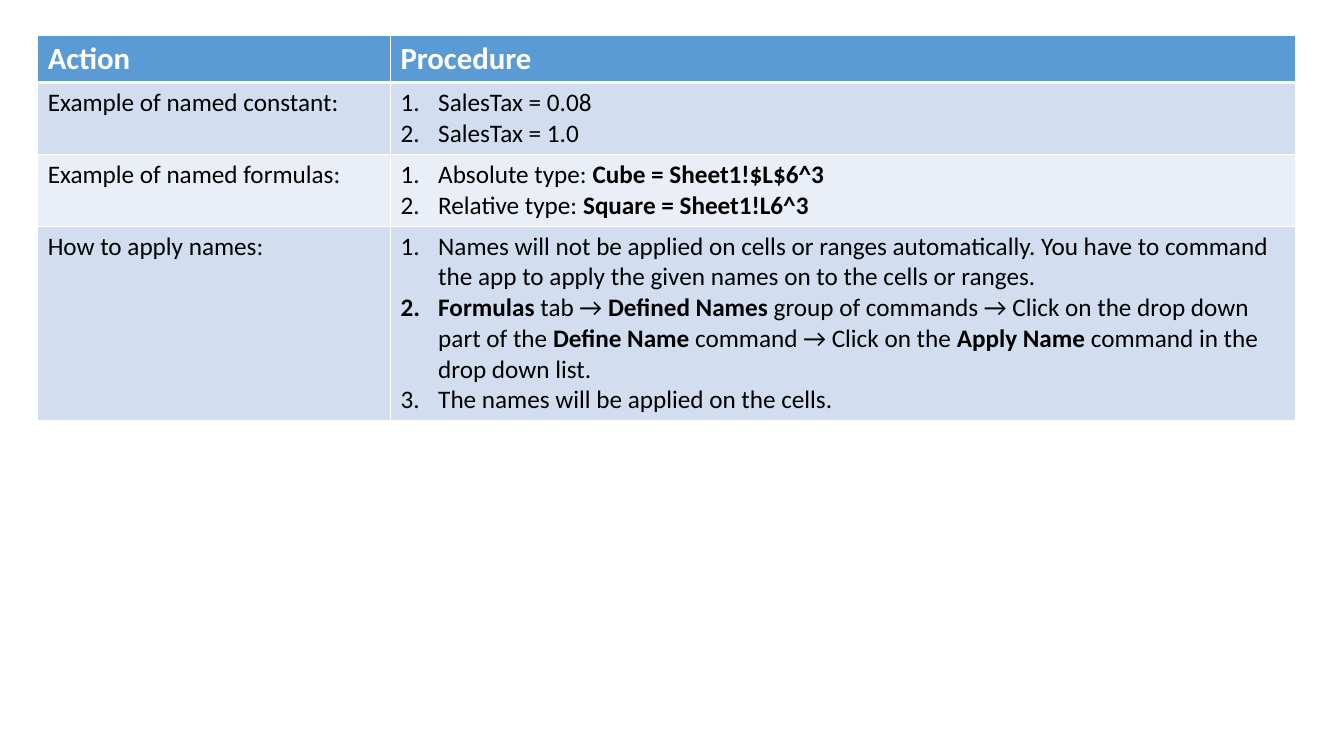
from dataclasses import dataclass

from lxml.etree import SubElement
from pptx import Presentation
from pptx.dml.color import RGBColor
from pptx.oxml.ns import qn
from pptx.table import _Cell as Cell
from pptx.util import Cm, Pt

WHITE = RGBColor(0xFF, 0xFF, 0xFF)
BLACK = RGBColor(0x00, 0x00, 0x00)
HEADER_BLUE = RGBColor(0x5B, 0x9B, 0xD5)
BAND_DARK = RGBColor(0xD2, 0xDE, 0xEF)
BAND_LIGHT = RGBColor(0xEA, 0xEF, 0xF7)

FONT = "Calibri"
NUMBER_INDENT = Cm(0.95)
COLUMN_WIDTHS = (Cm(8.89), Cm(22.81))


@dataclass(frozen=True)
class Span:
    text: str
    bold: bool = False


@dataclass(frozen=True)
class Look:
    size: int
    color: RGBColor
    fill: RGBColor
    bottom_line: int = 1


@dataclass(frozen=True)
class Row:
    action: Span
    procedure: list[list[Span]]
    height: Cm
    look: Look
    numbered: bool = True


HEADER = Look(22, WHITE, HEADER_BLUE, bottom_line=3)
DARK = Look(18, BLACK, BAND_DARK)
LIGHT = Look(18, BLACK, BAND_LIGHT)

ROWS = [
    Row(Span("Action", True), [[Span("Procedure", True)]], Cm(1.17), HEADER, numbered=False),
    Row(
        Span("Example of named constant:"),
        [[Span("SalesTax = 0.08")], [Span("SalesTax = 1.0")]],
        Cm(1.81),
        DARK,
    ),
    Row(
        Span("Example of named formulas:"),
        [
            [Span("Absolute type: "), Span("Cube = Sheet1!$L$6^3", True)],
            [Span("Relative type: "), Span("Square = Sheet1!L6^3", True)],
        ],
        Cm(1.81),
        LIGHT,
    ),
    Row(
        Span("How to apply names:"),
        [
            [Span("Names will not be applied on cells or ranges automatically. You have to command "
                  "the app to apply the given names on to the cells or ranges.")],
            [
                Span("Formulas", True),
                Span(" tab → "),
                Span("Defined Names", True),
                Span(" group of commands → Click on the drop down part of the "),
                Span("Define Name", True),
                Span(" command → Click on the "),
                Span("Apply Name", True),
                Span(" command in the drop down list."),
            ],
            [Span("The names will be applied on the cells.")],
        ],
        Cm(4.88),
        DARK,
    ),
]


def add_borders(cell: Cell, bottom_line: int) -> None:
    properties = cell._tc.get_or_add_tcPr()
    for side, width in (("L", 1), ("R", 1), ("T", 1), ("B", bottom_line)):
        line = SubElement(properties, qn(f"a:ln{side}"), w=str(Pt(width)))
        fill = SubElement(line, qn("a:solidFill"))
        SubElement(fill, qn("a:srgbClr"), val=str(WHITE))


def fill_cell(cell: Cell, lines: list[list[Span]], look: Look, numbered: bool) -> None:
    add_borders(cell, look.bottom_line)
    cell.fill.solid()
    cell.fill.fore_color.rgb = look.fill
    frame = cell.text_frame
    for index, spans in enumerate(lines):
        para = frame.add_paragraph() if index else frame.paragraphs[0]
        if numbered:
            properties = para._p.get_or_add_pPr()
            properties.set("marL", str(NUMBER_INDENT))
            properties.set("indent", str(-NUMBER_INDENT))
            SubElement(properties, qn("a:buAutoNum"), type="arabicPeriod")
        for span in spans:
            run = para.add_run()
            run.text = span.text
            run.font.name = FONT
            run.font.size = Pt(look.size)
            run.font.bold = span.bold
            run.font.color.rgb = look.color


def main() -> None:
    deck = Presentation()
    deck.slide_width, deck.slide_height = Cm(33.87), Cm(19.05)
    page = deck.slides.add_slide(deck.slide_layouts[6])
    table = page.shapes.add_table(
        len(ROWS), len(COLUMN_WIDTHS), Cm(0.95), Cm(0.88),
        sum(COLUMN_WIDTHS), sum(row.height for row in ROWS),
    ).table
    for column, width in zip(table.columns, COLUMN_WIDTHS):
        column.width = width
    for index, row in enumerate(ROWS):
        table.rows[index].height = row.height
        fill_cell(table.cell(index, 0), [[row.action]], row.look, numbered=False)
        fill_cell(table.cell(index, 1), row.procedure, row.look, row.numbered)
    deck.save("out.pptx")


if __name__ == "__main__":
    main()
